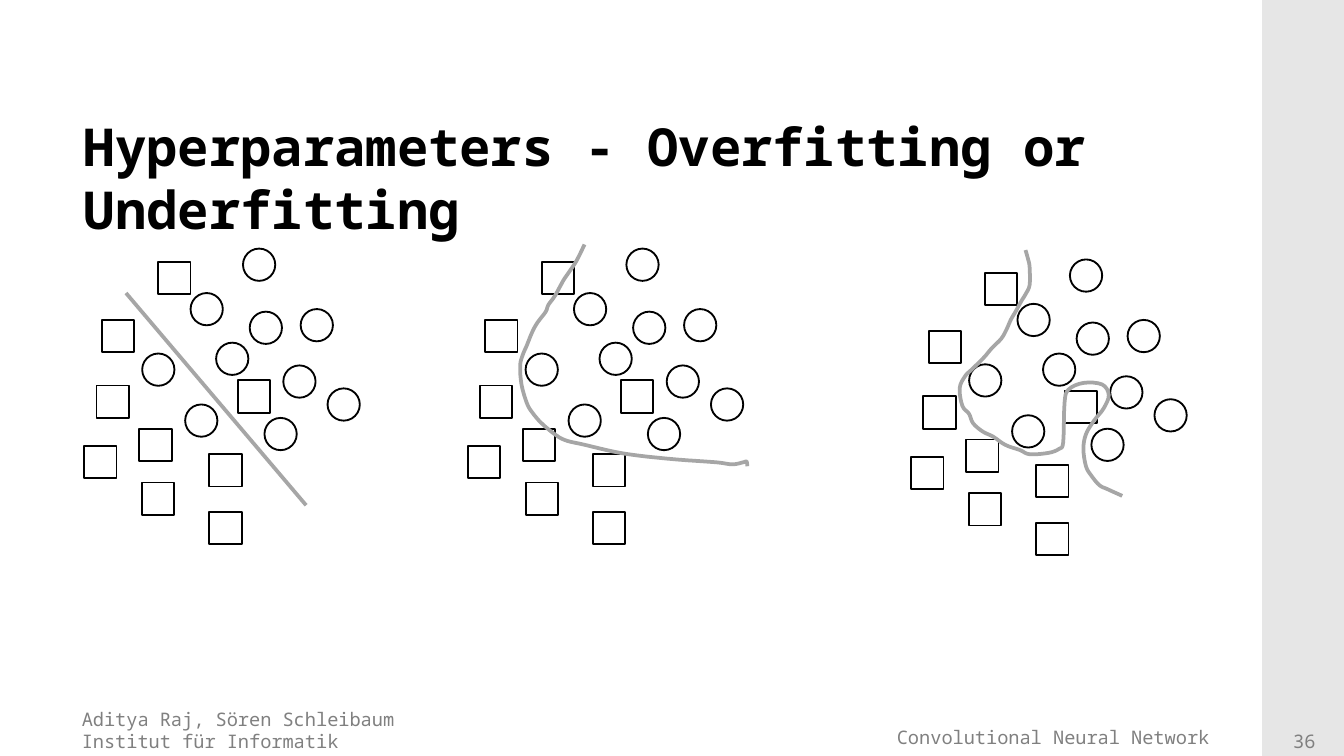
from pptx import Presentation
from pptx.dml.color import RGBColor
from pptx.enum.shapes import MSO_CONNECTOR, MSO_SHAPE
from pptx.enum.text import MSO_ANCHOR, PP_ALIGN
from pptx.oxml.ns import qn
from pptx.util import Pt
from lxml import etree

RECT, OVAL = MSO_SHAPE.RECTANGLE, MSO_SHAPE.OVAL
STRAIGHT = MSO_CONNECTOR.STRAIGHT
TOP = MSO_ANCHOR.TOP
LEFT, CENTER, RIGHT = PP_ALIGN.LEFT, PP_ALIGN.CENTER, PP_ALIGN.RIGHT
FONT = "Noto Sans Mono"
BLACK, BOUNDARY, GREY, BAND = "000000", "A6A6A6", "808080", "E6E6E6"
MARK = 17.3

# Marker positions, relative to the panel's corner
SQUARES = [(9.4, 38.2), (39.6, 7.2), (82.1, 70.6), (67, 110.2), (6.5, 73.4),
           (29.5, 96.5), (0, 105.8), (31, 125.3), (67, 141.1)]
CIRCLES = [(56.9, 23.8), (88.6, 33.8), (70.6, 50.4), (85, 0), (31, 56.2),
           (54, 83.5), (106.6, 62.6), (115.9, 32.4), (96.5, 90.7), (130.3, 74.9)]

# Decision boundaries, relative to the panel's corner
UNDERFIT = [(22.3, 23.8), (118.8, 137.5)]
GOOD_FIT = [(62.6, -2.2), (58.3, 6.5), (54, 13), (51.1, 17.3), (46.8, 25.2),
            (43.2, 30.2), (41.8, 33.8), (37.4, 39.6), (34.6, 44.6), (31.7, 51.8),
            (29.5, 56.9), (28.1, 62.6), (28.8, 72.7), (31.7, 82.8), (34.6, 87.8),
            (39.6, 93.6), (47.5, 100.1), (53.3, 103), (62.6, 105.1), (77.8, 108.7),
            (91.4, 110.9), (112.3, 113), (133.2, 114.5), (141.8, 115.6),
            (147.6, 114.5), (149.4, 114.1), (149.8, 116.6)]
OVERFIT = [(61.2, -5), (62.6, 0), (63.4, 4.3), (63.4, 13.7), (61.2, 18.7),
           (59, 22.3), (56.2, 27.4), (53.3, 32.4), (51.1, 37.4), (48.2, 42.5),
           (43.2, 47.5), (38.9, 52.6), (32.4, 59), (28.8, 62.6), (25.9, 69.1),
           (27.4, 78.5), (31, 82.8), (33.1, 87.8), (38.2, 92.2), (43.9, 95),
           (50.4, 99.4), (58.3, 102.2), (63.4, 104.4), (73.4, 103.7),
           (79.2, 101.5), (81.4, 97.9), (82.1, 77), (84.2, 69.8), (92.2, 66.2),
           (102.2, 67), (105.8, 72.7), (103, 79.9), (97.9, 86.4), (93.6, 93.6),
           (92.2, 101.5), (93.6, 110.9), (96.5, 115.9), (100.8, 121),
           (105.1, 123.1), (113, 126.7)]


def color(value):
    return RGBColor.from_string(value)


def set_line(sp, value, width):
    sp.line.color.rgb = color(value)
    sp.line.width = Pt(width)


def add_text(slide, box, lines, size, value=GREY, bold=False, align=LEFT,
             spacing=None, **margins):
    sp = slide.shapes.add_textbox(*map(Pt, box))
    tf = sp.text_frame
    tf.word_wrap = True
    tf.vertical_anchor = TOP
    for side, margin in margins.items():
        setattr(tf, "margin_" + side, Pt(margin))
    for i, line in enumerate(lines):
        p = tf.paragraphs[0] if i == 0 else tf.add_paragraph()
        p.alignment = align
        if spacing:
            p.line_spacing = Pt(spacing)
        r = p.add_run()
        r.text = line
        for name, setting in {"name": FONT, "size": Pt(size), "bold": bold}.items():
            setattr(r.font, name, setting)
        r.font.color.rgb = color(value)


def smooth(points, steps=4):
    """Catmull-Rom samples through the points."""
    padded = [points[0], *points, points[-1]]
    samples = [points[0]]
    for a, b, c, d in zip(padded, padded[1:], padded[2:], padded[3:]):
        for k in range(1, steps + 1):
            t = k / steps
            samples.append(tuple(
                (2 * q + (s - o) * t + (2 * o - 5 * q + 4 * s - u) * t ** 2
                 + (3 * q - o - 3 * s + u) * t ** 3) / 2
                for o, q, s, u in zip(a, b, c, d)))
    return samples


def add_boundary(slide, points):
    if len(points) == 2:
        (x1, y1), (x2, y2) = points
        sp = slide.shapes.add_connector(STRAIGHT, Pt(x1), Pt(y1), Pt(x2), Pt(y2))
        etree.SubElement(sp.element.spPr, qn("a:effectLst"))
    else:
        path = [(Pt(x), Pt(y)) for x, y in smooth(points)]
        builder = slide.shapes.build_freeform(*path[0])
        builder.add_line_segments(path[1:], close=False)
        sp = builder.convert_to_shape()
        sp.shadow.inherit = False
        sp.fill.background()
    set_line(sp, BOUNDARY, 2)


def add_panel(slide, left, top, boundary):
    for kind, places in ((RECT, SQUARES), (OVAL, CIRCLES)):
        for x, y in places:
            sp = slide.shapes.add_shape(kind, Pt(left + x), Pt(top + y),
                                        Pt(MARK), Pt(MARK))
            sp.shadow.inherit = False
            sp.fill.background()
            set_line(sp, BLACK, 1)
    add_boundary(slide, [(left + x, top + y) for x, y in boundary])


def add_frame(slide, width, height):
    # Side band
    band = 43.9
    sp = slide.shapes.add_shape(RECT, Pt(width - band), 0, Pt(band), Pt(height))
    sp.shadow.inherit = False
    sp.fill.solid()
    sp.fill.fore_color.rgb = color(BAND)
    sp.line.fill.background()
    # Footer
    add_text(slide, (36.7, height - 29.9, 306, 31.7),
             ["Aditya Raj, Sören Schleibaum", "Institut für Informatik"], 10,
             spacing=11.8, top=4.4)
    add_text(slide, (349.2, height - 27, 311.8, 28.8),
             ["Convolutional Neural Network"], 10, align=RIGHT, top=10.9, right=13.2)
    add_text(slide, (width - 39.6, height - 17.6, 36.7, 19.4), ["36"], 10,
             align=CENTER)


prs = Presentation()
prs.slide_width, prs.slide_height = Pt(720), Pt(405)
slide = prs.slides.add_slide(prs.slide_layouts[6])

add_frame(slide, 720, 405)
add_text(slide, (37.9, 55.4, 622, 41), ["Hyperparameters - Overfitting or Underfitting"],
         28, BLACK, bold=True, spacing=33.75, top=5.8)
for left, top, boundary in ((45.2, 133.2, UNDERFIT), (250.6, 133.2, GOOD_FIT),
                            (488.2, 139, OVERFIT)):
    add_panel(slide, left, top, boundary)

prs.save("out.pptx")
